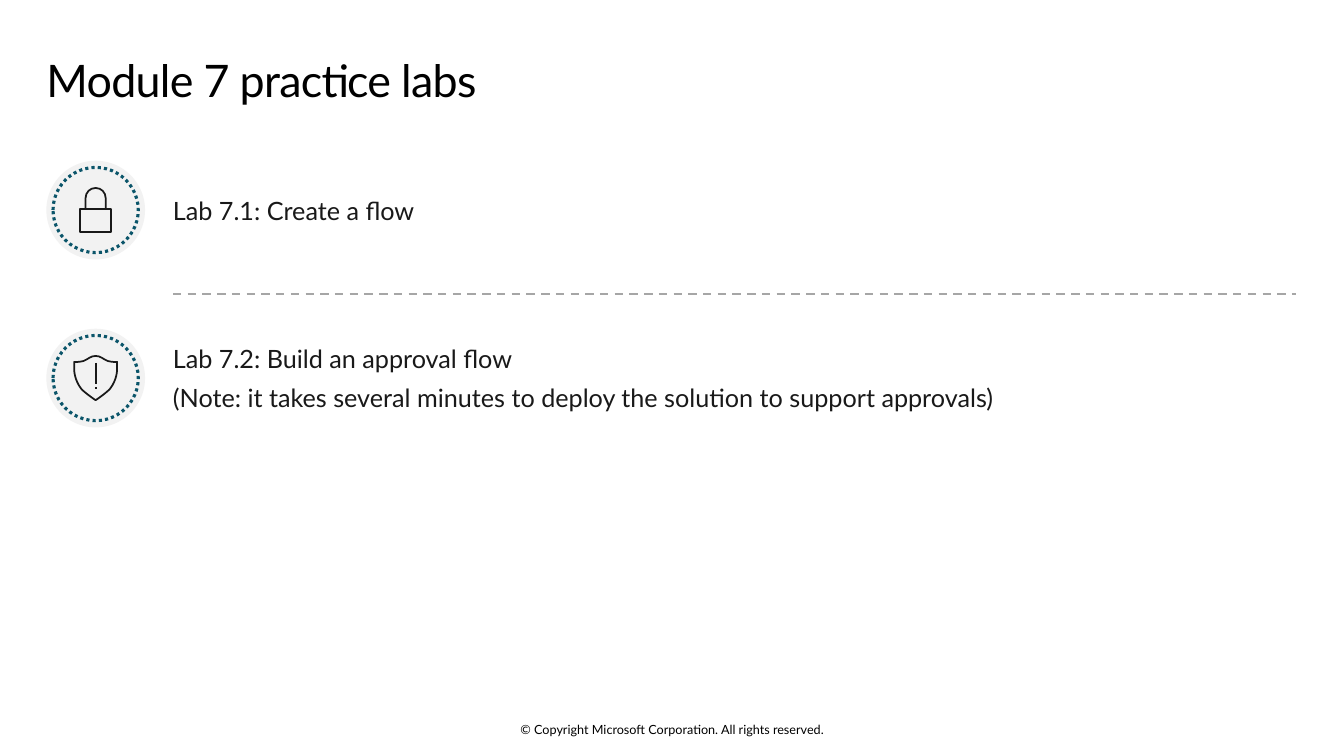
from dataclasses import dataclass

from lxml.etree import SubElement
from pptx import Presentation
from pptx.dml.color import RGBColor
from pptx.enum.dml import MSO_LINE
from pptx.enum.shapes import MSO_CONNECTOR, MSO_SHAPE
from pptx.enum.text import MSO_ANCHOR, PP_ALIGN
from pptx.oxml.ns import qn
from pptx.util import Pt


@dataclass(frozen=True)
class Theme:
    font: str = "Lato"
    black: RGBColor = RGBColor(0x00, 0x00, 0x00)
    ink: RGBColor = RGBColor(0x19, 0x19, 0x19)
    rule: RGBColor = RGBColor(0xA6, 0xA6, 0xA6)
    disc: RGBColor = RGBColor(0xF2, 0xF2, 0xF2)
    ring: RGBColor = RGBColor(0x0B, 0x55, 0x6A)
    title_size: int = 32
    body_size: int = 18
    footer_size: int = 9


@dataclass(frozen=True)
class Box:
    left: float
    top: float
    width: float
    height: float

    def points(self):
        return Pt(self.left), Pt(self.top), Pt(self.width), Pt(self.height)


THEME = Theme()
BADGE_SIZE = 70.5
TEXT_INDENT = 90.5
ROW_PITCH = 120
STEPS_PER_POINT = 100


def add_text(page, box, lines, size, color, anchor=MSO_ANCHOR.MIDDLE,
             align=PP_ALIGN.LEFT, margins=(0, 0, 0, 0), gap=0):
    frame = page.shapes.add_textbox(*box.points()).text_frame
    frame.word_wrap = True
    frame.vertical_anchor = anchor
    frame.margin_left, frame.margin_top, frame.margin_right, frame.margin_bottom = map(Pt, margins)
    frame.text = "\n".join(lines)
    for index, para in enumerate(frame.paragraphs):
        para.alignment = align
        if gap and index:
            para.space_before = Pt(gap)
        para.font.name = THEME.font
        para.font.size = Pt(size)
        para.font.color.rgb = color
    return frame


def add_title(page, box, text):
    frame = add_text(page, box, [text], THEME.title_size, THEME.black,
                     anchor=MSO_ANCHOR.TOP, margins=(0, 7.2, 11.5, 7.2))
    para = frame.paragraphs[0]
    para.line_spacing = 0.9
    for span in para.runs:
        span._r.get_or_add_rPr().set("spc", "-50")


def straight(*ends):
    return [(end, end, end) for end in ends]


def lock_strokes():
    body = straight((-11.2, 15.8), (-11.2, -0.7), (11.2, -0.7), (11.2, 15.8))
    shackle = [
        *straight((7.2, -8.6)),
        ((7.2, -12.6), (4, -15.8), (0, -15.8)),
        ((-4, -15.8), (-7.2, -12.6), (-7.2, -8.6)),
        *straight((-7.2, -0.7)),
    ]
    return [((11.2, 15.8), body, True), ((7.2, -0.7), shackle, False)]


def shield_strokes():
    outline = [
        *straight((-15.3, -11.5)),
        ((-15.3, -11.5), (-12.2, -11.2), (-8.6, -12.2)),
        ((-5, -13.7), (-3.6, -15.8), (0, -15.8)),
        ((3.6, -15.8), (5, -13.7), (8.6, -12.2)),
        ((12.2, -11.2), (15.3, -11.5), (15.3, -11.5)),
        *straight((15.3, -5.8)),
        ((15.3, -5.8), (15.3, 1.4), (10.1, 7.9)),
        ((6.5, 11.5), (0, 15.8), (0, 15.8)),
        ((0, 15.8), (-6.5, 11.5), (-10.1, 7.9)),
        ((-15.3, 1.4), (-15.3, -5.8), (-15.3, -5.8)),
    ]
    return [
        ((-15.3, -5.8), outline, True),
        ((0, -10.8), straight((0, 4.3)), False),
        ((0, 6.5), straight((0, 7.9)), False),
    ]


def turn_into_curves(outline):
    lines = list(outline._element.iter(qn("a:lnTo")))
    for first, second, third in zip(lines[::3], lines[1::3], lines[2::3]):
        first.tag = qn("a:cubicBezTo")
        for line in (second, third):
            first.append(line[0])
            line.getparent().remove(line)


def add_icon(group, box, strokes):
    def scaled(point):
        return tuple(round(value * STEPS_PER_POINT) for value in point)

    builder = None
    for start, curves, closed in strokes:
        if builder is None:
            builder = group.shapes.build_freeform(*scaled(start), scale=Pt(1) / STEPS_PER_POINT)
        else:
            builder.move_to(*scaled(start))
        builder.add_line_segments([scaled(point) for curve in curves for point in curve], close=False)
        if closed:
            builder.add_line_segments([], close=True)
    icon = builder.convert_to_shape(Pt(box.left + box.width / 2), Pt(box.top + box.height / 2))
    turn_into_curves(icon)
    icon.shadow.inherit = False
    icon.fill.background()
    icon.line.color.rgb = THEME.ink
    icon.line.width = Pt(1.25)


def add_disc(group, box):
    disc = group.shapes.add_shape(MSO_SHAPE.OVAL, *box.points())
    disc.shadow.inherit = False
    return disc


def add_badge(page, box, strokes):
    group = page.shapes.add_group_shape()
    disc = add_disc(group, box)
    disc.fill.solid()
    disc.fill.fore_color.rgb = THEME.disc
    disc.line.fill.background()

    inset = 4.8
    ring = add_disc(group, Box(box.left + inset, box.top + inset,
                               box.width - 2 * inset, box.height - 2 * inset))
    ring.fill.background()
    ring.line.color.rgb = THEME.ring
    ring.line.width = Pt(2.25)
    ring.line.dash_style = MSO_LINE.ROUND_DOT
    add_icon(group, box, strokes)


def add_lab(page, box, strokes, lines):
    add_badge(page, Box(box.left, box.top, BADGE_SIZE, BADGE_SIZE), strokes)
    text_box = Box(box.left + TEXT_INDENT, box.top, box.width - TEXT_INDENT, box.height)
    add_text(page, text_box, lines, THEME.body_size, THEME.ink, gap=6)


def add_divider(page, box):
    rule = page.shapes.add_connector(
        MSO_CONNECTOR.STRAIGHT, Pt(box.left), Pt(box.top), Pt(box.left + box.width), Pt(box.top))
    rule.line.color.rgb = THEME.rule
    rule.line.width = Pt(1.5)
    rule.line.dash_style = MSO_LINE.DASH
    SubElement(rule._element.spPr, qn("a:effectLst"))


def add_labs(page, box, labs):
    for index, (strokes, lines) in enumerate(labs):
        top = box.top + index * ROW_PITCH
        add_lab(page, Box(box.left, top, box.width, BADGE_SIZE), strokes, lines)
        if index:
            middle = top - (ROW_PITCH - BADGE_SIZE) / 2
            add_divider(page, Box(box.left + TEXT_INDENT, middle, box.width - TEXT_INDENT - 1.5, 0))


def add_footer(page, box, text):
    add_text(page, box, [text], THEME.footer_size, THEME.black, align=PP_ALIGN.CENTER)


def main():
    deck = Presentation()
    deck.slide_width, deck.slide_height = Pt(960), Pt(540)
    page = deck.slides.add_slide(deck.slide_layouts[6])
    add_footer(page, Box(318, 515.5, 324, 10.8),
               "© Copyright Microsoft Corporation. All rights reserved.")
    add_title(page, Box(33.1, 34.6, 893, 53.3), "Module 7 practice labs")
    add_labs(page, Box(33.1, 114.8, 894, 190.5), [
        (lock_strokes(), ["Lab 7.1: Create a flow"]),
        (shield_strokes(), [
            "Lab 7.2: Build an approval flow",
            "(Note: it takes several minutes to deploy the solution to support approvals)",
        ]),
    ])
    deck.save("out.pptx")


if __name__ == "__main__":
    main()
